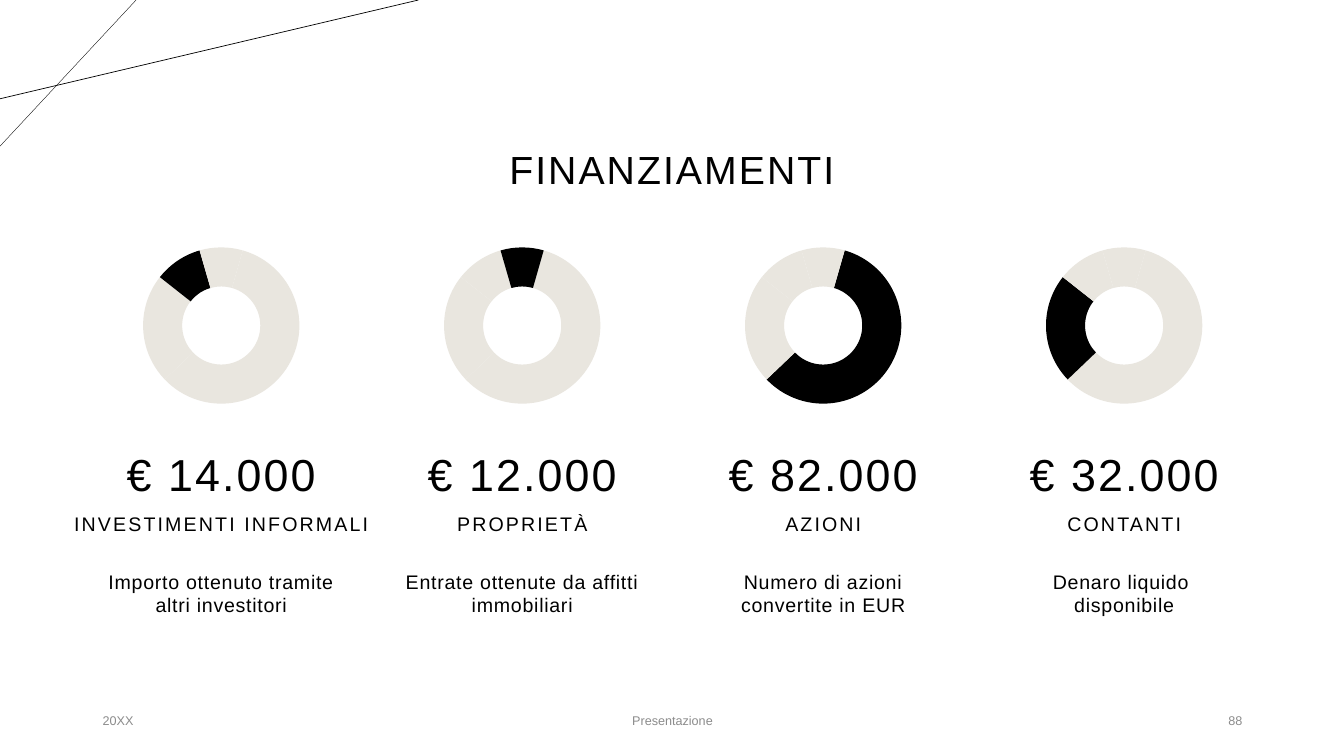
from pptx import Presentation
from pptx.chart.data import CategoryChartData
from pptx.dml.color import RGBColor
from pptx.enum.chart import XL_CHART_TYPE
from pptx.enum.shapes import MSO_CONNECTOR
from pptx.enum.text import MSO_ANCHOR, PP_ALIGN
from pptx.oxml import parse_xml
from pptx.oxml.ns import nsdecls, qn
from pptx.util import Inches, Pt

DOUGHNUT = XL_CHART_TYPE.DOUGHNUT
STRAIGHT = MSO_CONNECTOR.STRAIGHT
TOP, MIDDLE, BOTTOM = MSO_ANCHOR.TOP, MSO_ANCHOR.MIDDLE, MSO_ANCHOR.BOTTOM
LEFT, CENTER, RIGHT = PP_ALIGN.LEFT, PP_ALIGN.CENTER, PP_ALIGN.RIGHT

BLACK = RGBColor(0x00, 0x00, 0x00)
BEIGE = RGBColor(0xE9, 0xE6, 0xDF)
GRAY = RGBColor(0x8C, 0x8C, 0x8C)
FONT = "Arial"

COLUMN_LEFT, COLUMN_STEP, COLUMN_WIDTH = 0.92, 2.985, 2.55
CHART_WIDTH, CHART_HEIGHT = 2.03, 1.82
SHARES = (59, 23, 10, 9)

# amount, label, label width, description, index of the highlighted share
FUNDING = [
    ("€ 14.000", "INVESTIMENTI INFORMALI", 3.41,
     "Importo ottenuto tramite altri investitori", 2),
    ("€ 12.000", "PROPRIETÀ", COLUMN_WIDTH,
     "Entrate ottenute da affitti immobiliari", 3),
    ("€ 82.000", "AZIONI", COLUMN_WIDTH,
     "Numero di azioni convertite in EUR", 0),
    ("€ 32.000", "CONTANTI", COLUMN_WIDTH,
     "Denaro liquido \ndisponibile", 1),
]
FOOTERS = [
    ("20XX", 0.92, 3, LEFT),
    ("Presentazione", 4.42, 4.5, CENTER),
    ("88", 9.42, 3, RIGHT),
]


def add_text(page, text, left, top, width, height, size, color=BLACK,
             align=CENTER, anchor=MIDDLE, tracking=0, line_spacing=1,
             space_before=0, side_inset=0.1):
    """Add a one-paragraph text box; tracking is letter spacing in points."""
    box = page.shapes.add_textbox(
        Inches(left), Inches(top), Inches(width), Inches(height))
    frame = box.text_frame
    frame.word_wrap = True
    frame.vertical_anchor = anchor
    frame.margin_left = frame.margin_right = Inches(side_inset)
    para = frame.paragraphs[0]
    para.text = text
    para.alignment = align
    para.line_spacing = line_spacing
    para.space_before = Pt(space_before)
    para.font.name = FONT
    para.font.size = Pt(size)
    para.font.color.rgb = color
    if tracking:
        properties = para._p.get_or_add_pPr().get_or_add_defRPr()
        properties.set("spc", str(int(tracking * 100)))


def add_line(page, start_x, end_y, weight):
    """Draw a line from the top edge to the left edge of the slide."""
    line = page.shapes.add_connector(
        STRAIGHT, Inches(start_x), Inches(0), Inches(0), Inches(end_y))
    line.line.color.rgb = BLACK
    line.line.width = Pt(weight)
    line._element.spPr.append(
        parse_xml(f"<a:effectLst {nsdecls('a')}/>"))


def set_ring_layout(chart):
    """Centre the ring in its frame with a fixed diameter."""
    diameter = 1.55
    width, height = diameter / CHART_WIDTH, diameter / CHART_HEIGHT
    plot_area = chart._chartSpace.chart.plotArea
    for layout in plot_area.findall(qn("c:layout")):
        plot_area.remove(layout)
    plot_area.insert(0, parse_xml(
        f'<c:layout {nsdecls("c")}><c:manualLayout>'
        '<c:layoutTarget val="inner"/>'
        '<c:xMode val="edge"/><c:yMode val="edge"/>'
        f'<c:x val="{(1 - width) / 2:.3f}"/>'
        f'<c:y val="{(1 - height) / 2:.3f}"/>'
        f'<c:w val="{width:.3f}"/><c:h val="{height:.3f}"/>'
        '</c:manualLayout></c:layout>'))


def add_doughnut(page, left, highlighted):
    chart_data = CategoryChartData()
    chart_data.categories = [str(n) for n in range(1, len(SHARES) + 1)]
    chart_data.add_series("Series 1", SHARES)
    chart = page.shapes.add_chart(
        DOUGHNUT, Inches(left), Inches(2.32), Inches(CHART_WIDTH),
        Inches(CHART_HEIGHT), chart_data).chart
    chart.has_legend = False
    chart.has_title = False
    chart.font.name = FONT
    chart.font.size = Pt(10)
    chart.font.color.rgb = BLACK
    plot = chart.plots[0]
    plot.vary_by_categories = True
    for index in range(len(SHARES)):
        point = plot.series[0].points[index]
        point.format.fill.solid()
        point.format.fill.fore_color.rgb = (
            BLACK if index == highlighted else BEIGE)
        point.format.line.fill.background()
    ring = plot._element
    ring.find(qn("c:firstSliceAng")).set("val", "16")
    ring.find(qn("c:holeSize")).set("val", "80")
    set_ring_layout(chart)


def add_funding_column(page, left, amount, label, label_width, description,
                       highlighted):
    center = left + COLUMN_WIDTH / 2
    add_doughnut(page, center - CHART_WIDTH / 2, highlighted)
    heading = dict(anchor=BOTTOM, tracking=1.5, line_spacing=0.9,
                   space_before=10, side_inset=0)
    add_text(page, amount, left, 4.14, COLUMN_WIDTH, 0.88, 32, **heading)
    add_text(page, label, center - label_width / 2, 4.88, label_width, 0.48,
             14, **heading)
    add_text(page, description, left, 5.6, COLUMN_WIDTH, 0.93, 14,
             anchor=TOP, tracking=0.5, space_before=10, side_inset=0)


def main():
    deck = Presentation()
    deck.slide_width, deck.slide_height = Inches(13.33), Inches(7.5)
    page = deck.slides.add_slide(deck.slide_layouts[6])

    add_line(page, 1.35, 1.45, 0.25)
    add_line(page, 4.15, 0.98, 0.5)
    add_text(page, "FINANZIAMENTI", 2.06, 0.98, 9.21, 1.45, 28,
             tracking=1.5, line_spacing=0.9)
    for index, funding in enumerate(FUNDING):
        add_funding_column(page, COLUMN_LEFT + index * COLUMN_STEP, *funding)
    for text, left, width, align in FOOTERS:
        add_text(page, text, left, 6.95, width, 0.4, 9, GRAY, align)

    deck.save("out.pptx")


if __name__ == "__main__":
    main()
